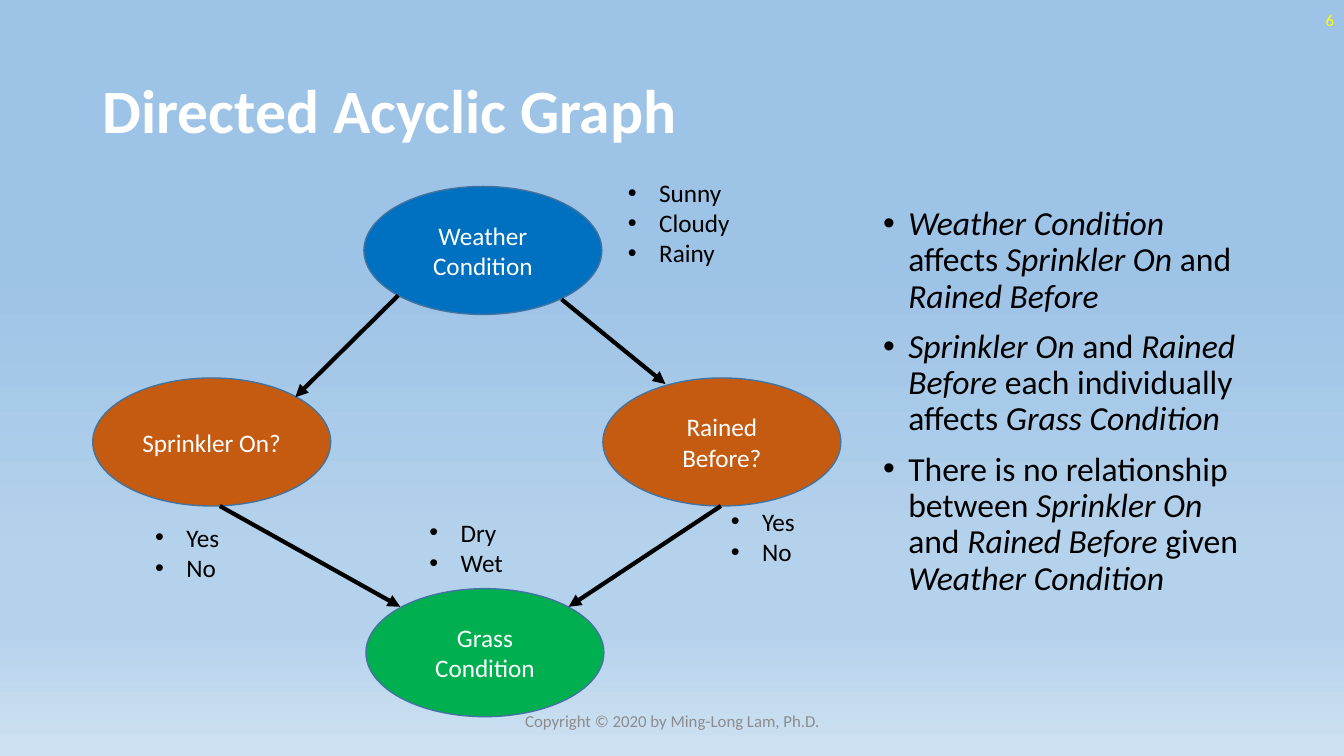
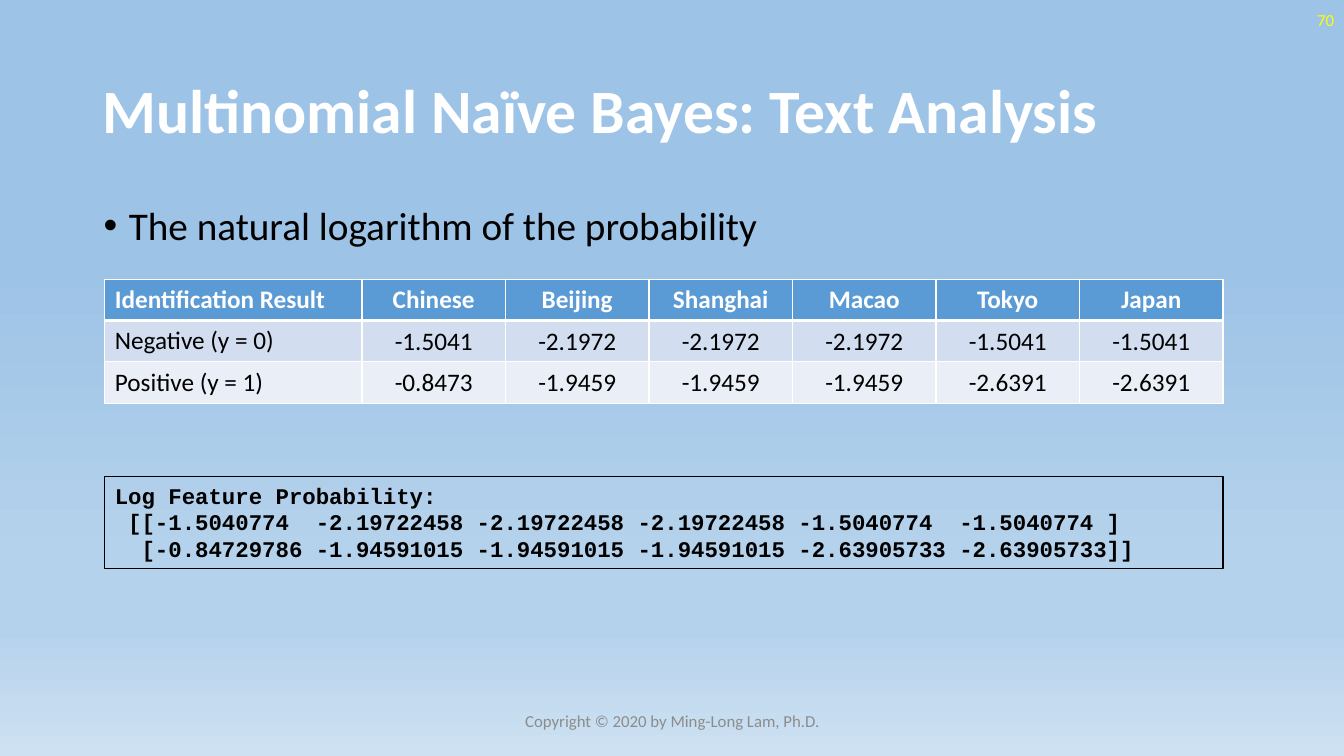
import dataclasses

import lxml.etree
import pptx
import pptx.dml.color
import pptx.enum.shapes
import pptx.enum.text
import pptx.oxml.ns
import pptx.util

ALIGN = pptx.enum.text.PP_ALIGN
ANCHOR = pptx.enum.text.MSO_ANCHOR
SHAPE = pptx.enum.shapes.MSO_SHAPE
EMU_PER_PX = 9144  # 100 px to the inch


@dataclasses.dataclass(frozen=True)
class Theme:
    font: str = "Calibri"
    code_font: str = "Courier New"
    title_size: int = 44
    body_size: int = 28
    side_size: int = 24
    label_size: int = 18
    code_size: int = 16
    footer_size: int = 12
    text: str = "000000"
    light: str = "FFFFFF"
    footer: str = "8C8C8C"
    page_number: str = "FFFF00"
    cause: str = "0070C0"
    middle: str = "C55A11"
    effect: str = "00B050"
    outline: str = "43739E"
    table_rows: tuple = ("5B9BD5", "D2DEEF", "EAEFF7")
    background: tuple = ((35, "9DC3E6"), (74, "B5D2EC"), (83, "B5D2EC"), (100, "CEE1F2"))
    copyright_line: str = "Copyright © 2020 by Ming-Long Lam, Ph.D."


def px(length):
    return pptx.util.Emu(round(length * EMU_PER_PX))


def rgb(value):
    return pptx.dml.color.RGBColor.from_string(value)


def add_xml(parent, tag, **attributes):
    return lxml.etree.SubElement(parent, pptx.oxml.ns.qn(tag), attributes)


class Deck:
    def __init__(self, theme):
        self.theme = theme
        self.presentation = pptx.Presentation()
        self.presentation.slide_width = px(1333)
        self.presentation.slide_height = px(750)
        self.slide = None
        self.paint_background()

    def paint_background(self):
        """Give the slide master the gradient that every slide inherits."""
        master = self.presentation.slide_master
        fill = master.background.fill
        fill.gradient()
        fill.gradient_angle = 270
        stops = next(master.element.iter(pptx.oxml.ns.qn("a:gsLst")))
        for stop in list(stops):
            stops.remove(stop)
        for percent, color in self.theme.background:
            stop = add_xml(stops, "a:gs", pos=str(percent * 1000))
            add_xml(stop, "a:srgbClr", val=color)

    def start_slide(self, title, number):
        theme = self.theme
        self.slide = self.presentation.slides.add_slide(self.presentation.slide_layouts[6])
        self.text((92, 40, 1150, 145), [title], theme.title_size, theme.light,
                  bold=True, anchor=ANCHOR.MIDDLE, line_spacing=0.9)
        self.text((1033, 0, 300, 40), [str(number)], theme.footer_size, theme.page_number,
                  align=ALIGN.RIGHT, anchor=ANCHOR.MIDDLE)
        self.text((442, 695, 450, 40), [theme.copyright_line], theme.footer_size, theme.footer,
                  align=ALIGN.CENTER, anchor=ANCHOR.MIDDLE)

    def fill_text(self, frame, lines, size, color, font=None, bold=False, align=ALIGN.LEFT,
                  anchor=ANCHOR.TOP, line_spacing=None, space_before=0, bullet_indent=0):
        """Fill a text frame; words between asterisks become italic."""
        frame.word_wrap = True
        frame.vertical_anchor = anchor
        for index, line in enumerate(lines):
            paragraph = frame.add_paragraph() if index else frame.paragraphs[0]
            if bullet_indent:
                self.bullet(paragraph, bullet_indent)
            paragraph.alignment = align
            if line_spacing:
                paragraph.line_spacing = line_spacing
            if index and space_before:
                paragraph.space_before = pptx.util.Pt(space_before)
            for position, part in enumerate(line.split("*")):
                if part:
                    run = paragraph.add_run()
                    run.text = part
                    run.font.name = font or self.theme.font
                    run.font.size = pptx.util.Pt(size)
                    run.font.bold = bold
                    run.font.italic = position % 2 == 1
                    run.font.color.rgb = rgb(color)

    def bullet(self, paragraph, indent):
        properties = paragraph._p.get_or_add_pPr()
        properties.set("marL", str(px(indent)))
        properties.set("indent", str(px(-indent)))
        add_xml(properties, "a:buFont", typeface="Arial")
        add_xml(properties, "a:buChar", char="•")

    def text(self, box, lines, size, color, **style):
        shape = self.slide.shapes.add_textbox(*map(px, box))
        self.fill_text(shape.text_frame, lines, size, color, **style)

    def body(self, box, lines, size):
        self.text(box, lines, size, self.theme.text, line_spacing=0.9,
                  space_before=10, bullet_indent=25)

    def states(self, left, top, names):
        """List the values that a node can take."""
        self.text((left, top, 124, 11 + 30 * len(names)), names, self.theme.label_size,
                  self.theme.text, bullet_indent=31)

    def shape(self, kind, box, line_color, line_width, fill=None):
        shape = self.slide.shapes.add_shape(kind, *map(px, box))
        shape.shadow.inherit = False
        if fill:
            shape.fill.solid()
            shape.fill.fore_color.rgb = rgb(fill)
        else:
            shape.fill.background()
        shape.line.color.rgb = rgb(line_color)
        shape.line.width = pptx.util.Pt(line_width)
        return shape

    def node(self, left, top, label, fill):
        shape = self.shape(SHAPE.OVAL, (left, top, 236, 127), self.theme.outline, 1, fill)
        self.fill_text(shape.text_frame, [label], self.theme.label_size, self.theme.light,
                       align=ALIGN.CENTER, anchor=ANCHOR.MIDDLE)

    def arrow(self, start, end):
        connector = self.slide.shapes.add_connector(
            pptx.enum.shapes.MSO_CONNECTOR.STRAIGHT, *map(px, start + end))
        connector.line.color.rgb = rgb(self.theme.text)
        connector.line.width = pptx.util.Pt(3)
        add_xml(connector.line._get_or_add_ln(), "a:tailEnd", type="triangle")
        add_xml(connector._element.spPr, "a:effectLst")

    def code(self, box, lines):
        shape = self.shape(SHAPE.RECTANGLE, box, self.theme.text, 0.75)
        self.fill_text(shape.text_frame, lines, self.theme.code_size, self.theme.text,
                       font=self.theme.code_font, bold=True)

    def table(self, left, top, width, first_width, row_height, rows):
        row_count, column_count = len(rows), len(rows[0])
        frame = self.slide.shapes.add_table(
            row_count, column_count, px(left), px(top), px(width), px(row_height * row_count))
        table = frame.table
        table.horz_banding = False
        other_width = (width - first_width) / (column_count - 1)
        for index, column in enumerate(table.columns):
            column.width = px(other_width if index else first_width)
        for row_index, row in enumerate(rows):
            table.rows[row_index].height = px(row_height)
            for column_index, value in enumerate(row):
                self.cell(table.cell(row_index, column_index), value, row_index, column_index)

    def cell(self, cell, value, row_index, column_index):
        theme = self.theme
        is_header = row_index == 0
        self.fill_text(cell.text_frame, [value], theme.label_size,
                       theme.light if is_header else theme.text, bold=is_header,
                       align=ALIGN.CENTER if column_index else ALIGN.LEFT)
        cell.vertical_anchor = ANCHOR.MIDDLE
        if row_index and column_index:
            cell.margin_left = cell.margin_top = cell.margin_right = px(1)
            cell.margin_bottom = 0
        properties = cell._tc.get_or_add_tcPr()
        widths = {"L": 1, "R": 1, "T": 3 if row_index == 1 else 1, "B": 3 if is_header else 1}
        for side, width in widths.items():
            border = add_xml(properties, "a:ln" + side, w=str(pptx.util.Pt(width)))
            add_xml(add_xml(border, "a:solidFill"), "a:srgbClr", val=theme.light)
        cell.fill.solid()
        cell.fill.fore_color.rgb = rgb(theme.table_rows[row_index])


def build_graph(deck):
    theme = deck.theme
    deck.start_slide("Directed Acyclic Graph", 6)
    deck.body((866, 200, 375, 476), [
        "*Weather Condition* affects *Sprinkler On* and *Rained Before*",
        "*Sprinkler On* and *Rained Before* each individually affects *Grass Condition*",
        "There is no relationship between *Sprinkler On* and *Rained Before* given "
        "*Weather Condition*",
    ], theme.side_size)
    for left, top, label, fill in (
        (361, 185, "Weather Condition", theme.cause),
        (598, 375, "Rained Before?", theme.middle),
        (92, 375, "Sprinkler On?", theme.middle),
        (363, 584, "Grass Condition", theme.effect),
    ):
        deck.node(left, top, label, fill)
    for start, end in (
        ((395, 293), (293, 394)),
        ((715, 502), (564, 602)),
        ((557, 297), (660, 381)),
        ((218, 502), (397, 602)),
    ):
        deck.arrow(start, end)
    for left, top, names in (
        (613, 171, ["Sunny", "Cloudy", "Rainy"]),
        (144, 513, ["Yes", "No"]),
        (715, 497, ["Yes", "No"]),
        (416, 508, ["Dry", "Wet"]),
    ):
        deck.states(left, top, names)


def build_text_analysis(deck):
    deck.start_slide("Multinomial Naïve Bayes: Text Analysis", 70)
    deck.body((93, 200, 1150, 476), ["The natural logarithm of the probability"],
              deck.theme.body_size)
    deck.table(104, 277, 1109, 255, 41, [
        ["Identification Result", "Chinese", "Beijing", "Shanghai", "Macao", "Tokyo", "Japan"],
        ["Negative (y = 0)", "-1.5041", "-2.1972", "-2.1972", "-2.1972", "-1.5041", "-1.5041"],
        ["Positive (y = 1)", "-0.8473", "-1.9459", "-1.9459", "-1.9459", "-2.6391", "-2.6391"],
    ])
    deck.code((104, 473, 1109, 91), [
        "Log Feature Probability:",
        " [[-1.5040774  -2.19722458 -2.19722458 -2.19722458 -1.5040774  -1.5040774 ]",
        "  [-0.84729786 -1.94591015 -1.94591015 -1.94591015 -2.63905733 -2.63905733]]",
    ])


def main():
    deck = Deck(Theme())
    build_graph(deck)
    build_text_analysis(deck)
    deck.presentation.save("out.pptx")


if __name__ == "__main__":
    main()
